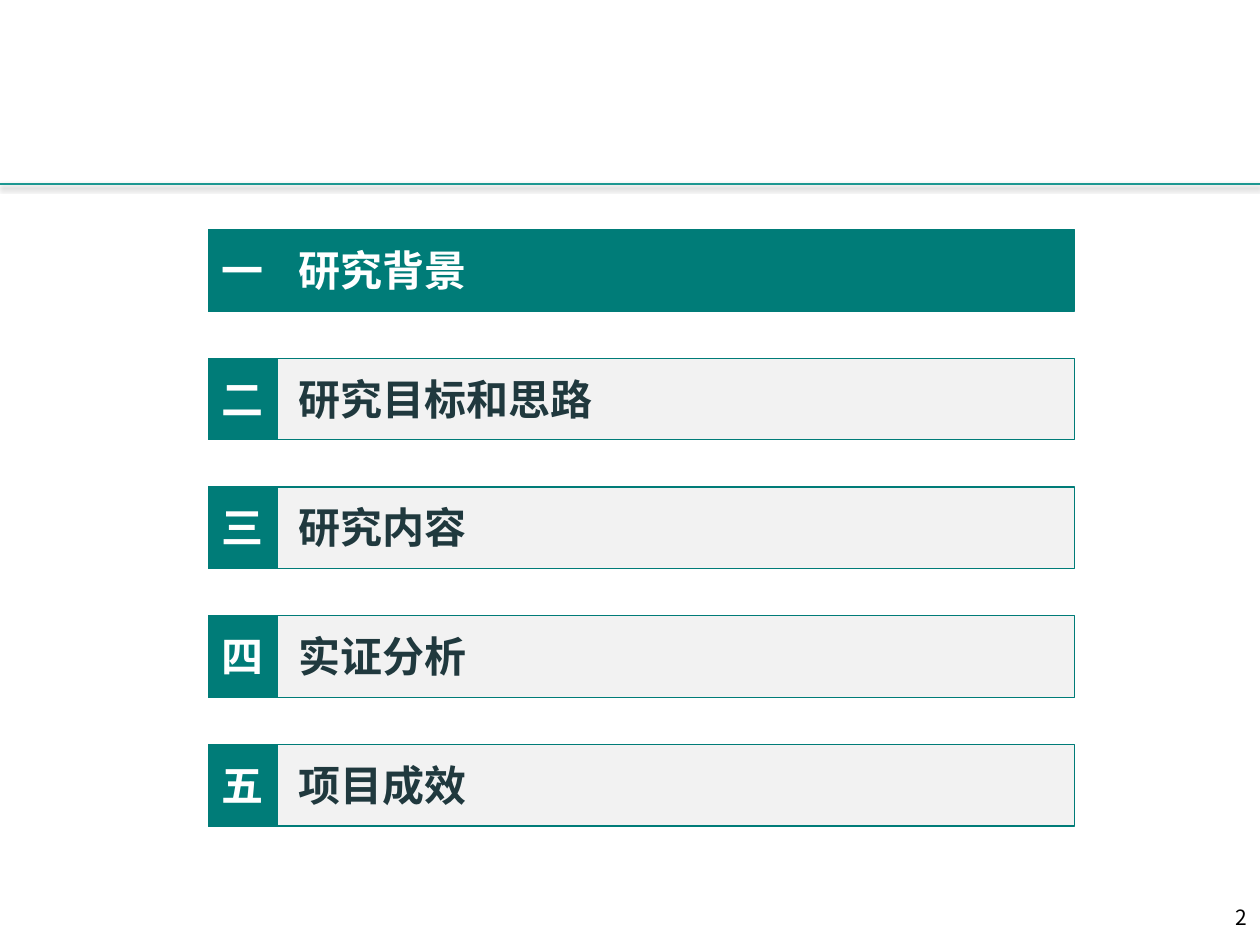
import pptx
import pptx.dml.color
import pptx.enum.shapes
import pptx.enum.text
import pptx.oxml
import pptx.oxml.ns
import pptx.util
from lxml import etree

Pt = pptx.util.Pt
RGB = pptx.dml.color.RGBColor
ALIGN = pptx.enum.text.PP_ALIGN
qn = pptx.oxml.ns.qn

TEAL = RGB(0x00, 0x7C, 0x78)
RULE = RGB(0x1C, 0x97, 0x91)
GRAY = RGB(0xF2, 0xF2, 0xF2)
DARK = RGB(0x20, 0x39, 0x3E)
WHITE = RGB(0xFF, 0xFF, 0xFF)
BLACK = RGB(0x00, 0x00, 0x00)
FONT = "Noto Sans CJK SC"

SHADOW = f"""<a:effectLst {pptx.oxml.ns.nsdecls('a')}>
  <a:outerShdw blurRad="{Pt(3.1)}" dist="{Pt(1.8)}" dir="5400000" rotWithShape="0">
    <a:srgbClr val="000000"><a:alpha val="35000"/></a:srgbClr>
  </a:outerShdw>
</a:effectLst>"""


def write(tf, text, size=24, color=WHITE, bold=True, align=ALIGN.LEFT):
    p = tf.paragraphs[0]
    p.alignment = align
    r = p.add_run()
    r.text = text
    r.font.size = Pt(size)
    r.font.bold = bold
    r.font.name = FONT
    r.font.color.rgb = color
    etree.SubElement(r.font._element, qn("a:ea")).set("typeface", FONT)


class Page:
    def __init__(self, s):
        self.s = s

    def rule(self, y, width):
        """Horizontal line with a soft shadow below it."""
        line = self.s.shapes.add_connector(
            pptx.enum.shapes.MSO_CONNECTOR.STRAIGHT, 0, Pt(y), Pt(width), Pt(y))
        line.line.color.rgb = RULE
        line.line.width = Pt(1.5)
        line._element.spPr.append(pptx.oxml.parse_xml(SHADOW))

    def rect(self, shapes, x, y, w, h, fill):
        sp = shapes.add_shape(pptx.enum.shapes.MSO_SHAPE.RECTANGLE,
                              Pt(x), Pt(y), Pt(w), Pt(h))
        sp.shadow.inherit = False
        sp.fill.solid()
        sp.fill.fore_color.rgb = fill
        sp.line.color.rgb = TEAL
        sp.line.width = Pt(0.75)

    def text(self, shapes, x, y, w, h, text, margins=(0, 0, 0, 0), grow=True, **style):
        tf = shapes.add_textbox(Pt(x), Pt(y), Pt(w), Pt(h)).text_frame
        tf.margin_left, tf.margin_top, tf.margin_right, tf.margin_bottom = map(Pt, margins)
        tf.word_wrap = False
        if grow:
            tf.auto_size = pptx.enum.text.MSO_AUTO_SIZE.SHAPE_TO_FIT_TEXT
        write(tf, text, **style)

    def agenda_row(self, y, number, title, active):
        """One agenda entry: bar, number tile and their labels."""
        shapes = self.s.shapes.add_group_shape().shapes
        self.rect(shapes, 119, y, 495, 46.6, TEAL if active else GRAY)
        self.rect(shapes, 119, y, 39.4, 46.6, TEAL)
        self.text(shapes, 124.8, y + 8.4, 27.4, 36.6, number, align=ALIGN.CENTER)
        self.text(shapes, 170.5, y + 8.4, 26 * len(title), 36.6, title,
                  color=WHITE if active else DARK)


def main():
    prs = pptx.Presentation()
    prs.slide_width, prs.slide_height = Pt(720), Pt(540)
    page = Page(prs.slides.add_slide(prs.slide_layouts[6]))

    # Header rule and page number
    page.rule(105.2, 720)
    page.text(page.s.shapes, 558, 513.2, 162, 28.8, "2", margins=(0, 3.6, 7.2, 0),
              grow=False, size=12, color=BLACK, bold=False, align=ALIGN.RIGHT)

    # Agenda, with the first section active
    titles = ["研究背景", "研究目标和思路", "研究内容", "实证分析", "项目成效"]
    for i, (number, title) in enumerate(zip("一二三四五", titles)):
        page.agenda_row(131.2 + 73.55 * i, number, title, active=i == 0)

    prs.save("out.pptx")


if __name__ == "__main__":
    main()
